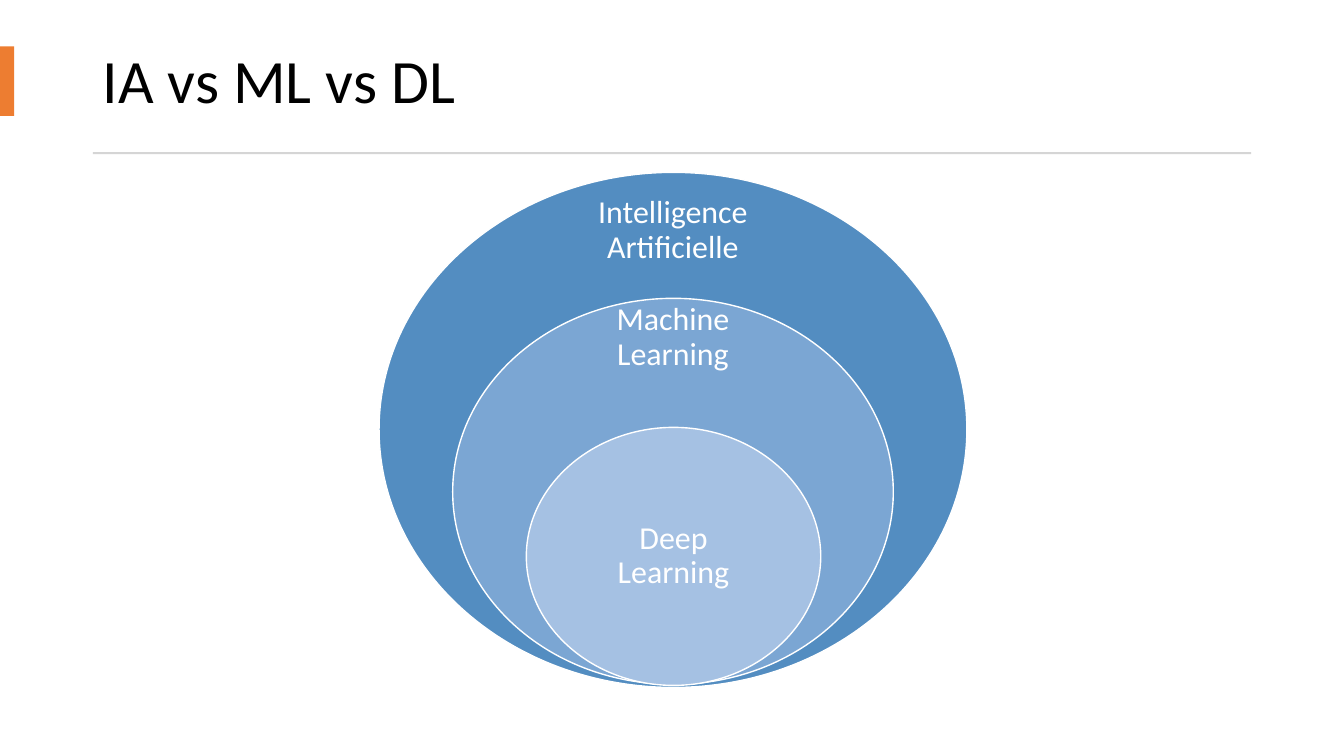
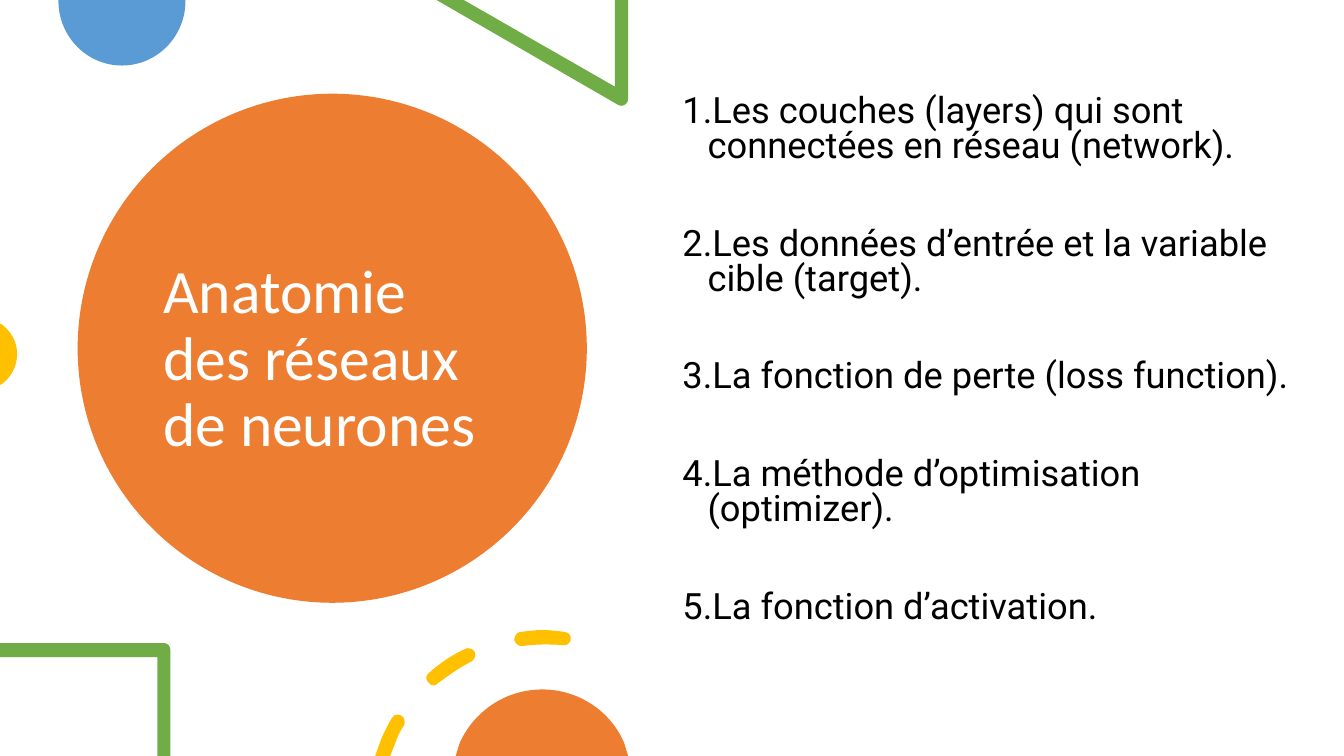
from dataclasses import dataclass

from lxml import etree
from pptx import Presentation
from pptx.dml.color import RGBColor
from pptx.enum.shapes import MSO_SHAPE
from pptx.enum.text import MSO_ANCHOR, PP_ALIGN
from pptx.oxml.ns import qn
from pptx.util import Emu, Pt

# Scale, page and shared formats
PX = 9144  # 100 px to the inch
PAGE_WIDTH, PAGE_HEIGHT = 1333, 750

RECTANGLE, OVAL = MSO_SHAPE.RECTANGLE, MSO_SHAPE.OVAL
TOP, MIDDLE = MSO_ANCHOR.TOP, MSO_ANCHOR.MIDDLE
LEFT, CENTER = PP_ALIGN.LEFT, PP_ALIGN.CENTER

BLACK = RGBColor(0x00, 0x00, 0x00)
WHITE = RGBColor(0xFF, 0xFF, 0xFF)
GREY = RGBColor(0xD5, 0xD5, 0xD5)
ORANGE = RGBColor(0xED, 0x7D, 0x31)
BLUE = RGBColor(0x5B, 0x9B, 0xD5)
GREEN = RGBColor(0x70, 0xAD, 0x47)
YELLOW = RGBColor(0xFF, 0xC0, 0x00)
RING_DARK = RGBColor(0x53, 0x8D, 0xC1)
RING_MEDIUM = RGBColor(0x7B, 0xA6, 0xD3)
RING_LIGHT = RGBColor(0xA5, 0xC1, 0xE3)

# A contour starts at its first point; then two numbers are a straight
# segment and six numbers a curve (two control points and an end)
Contour = list[tuple[int, ...]]


@dataclass(frozen=True)
class Box:
    left: int
    top: int
    width: int
    height: int

    def emu(self) -> list[Emu]:
        return [Emu(length * PX) for length in (self.left, self.top, self.width, self.height)]


@dataclass(frozen=True)
class Margins:
    left: int = 10
    top: int = 5
    right: int = 10
    bottom: int = 5


@dataclass(frozen=True)
class TextStyle:
    font: dict
    paragraph: dict
    anchor: int = MIDDLE
    numbered: bool = False


@dataclass(frozen=True)
class Ring:
    label: str
    box: Box
    label_middle: int
    color: RGBColor


@dataclass(frozen=True)
class Decoration:
    color: RGBColor
    contours: list[Contour]


def title_style(color: RGBColor) -> TextStyle:
    return TextStyle({"name": "Calibri", "size": Pt(44), "color": color},
                     {"alignment": LEFT, "line_spacing": 0.9})


LABEL_STYLE = TextStyle({"name": "Calibri", "size": Pt(22.8), "color": WHITE},
                        {"alignment": CENTER, "line_spacing": 0.9})
LIST_STYLE = TextStyle({"name": "Roboto", "size": Pt(25.9), "color": BLACK},
                       {"alignment": LEFT, "line_spacing": 0.8, "space_before": Pt(45)},
                       anchor=TOP, numbered=True)

# Content
LABEL_WIDTH = 170
RINGS = [
    Ring("Intelligence Artificielle", Box(376, 171, 583, 511), 229, RING_DARK),
    Ring("Machine Learning", Box(449, 296, 437, 383), 335, RING_MEDIUM),
    Ring("Deep Learning", Box(522, 424, 292, 256), 552, RING_LIGHT),
]
COMPONENTS = [
    "Les couches (layers) qui sont connectées en réseau (network).",
    "Les données d’entrée et la variable cible (target).",
    "La fonction de perte (loss function).",
    "La méthode d’optimisation (optimizer).",
    "La fonction d’activation.",
]
# Decorations cut by the page edges
DECORATIONS = [
    Decoration(BLUE, [[
        (184, 0), (58, 0), (58, 1), (58, 36, 86, 65, 121, 65), (156, 65, 184, 36, 184, 1)]]),
    Decoration(GREEN, [[
        (623, 0), (610, 0), (610, 86), (460, 0), (433, 0), (613, 104),
        (614, 105, 615, 105, 616, 105), (620, 105, 623, 102, 623, 98)]]),
    Decoration(YELLOW, [[
        (0, 321), (0, 382), (2, 381), (11, 374, 17, 364, 17, 351), (17, 339, 11, 329, 2, 322)]]),
    Decoration(GREEN, [[
        (163, 638), (0, 638), (0, 652), (156, 652), (156, 750), (169, 750), (169, 645),
        (169, 641, 166, 638, 163, 638)]]),
    # Three dashes of one circle
    Decoration(YELLOW, [
        [(395, 709), (393, 708, 390, 710, 389, 712), (385, 718, 382, 725, 379, 731),
         (372, 750), (387, 750), (392, 737), (394, 731, 397, 725, 401, 719),
         (402, 716, 401, 711, 398, 710), (397, 709, 396, 709, 395, 709)],
        [(464, 643), (463, 643, 462, 643, 461, 644), (448, 650, 436, 658, 425, 668),
         (422, 670, 422, 675, 425, 677), (426, 679, 428, 680, 430, 680),
         (432, 680, 433, 679, 434, 678), (445, 670, 456, 662, 468, 656),
         (471, 654, 472, 650, 471, 647), (469, 644, 467, 643, 464, 643)],
        [(538, 625), (531, 625, 524, 626, 516, 627), (513, 627, 510, 631, 510, 635),
         (511, 638, 514, 641, 517, 641), (532, 639, 545, 639, 558, 640),
         (562, 641, 565, 638, 566, 635), (567, 631, 564, 627, 560, 627),
         (553, 626, 545, 625, 538, 625)],
    ]),
    Decoration(ORANGE, [[
        (538, 684), (501, 684, 470, 706, 456, 737), (452, 750), (623, 750), (619, 737),
        (606, 706, 574, 684, 538, 684)]]),
]


# Drawing
def paint(shape, fill: RGBColor, line: RGBColor | None = None) -> None:
    shape.shadow.inherit = False
    shape.fill.solid()
    shape.fill.fore_color.rgb = fill
    if line is None:
        shape.line.fill.background()
    else:
        shape.line.color.rgb = line
        shape.line.width = Pt(1)


def add_preset(slide, kind: int, box: Box, fill: RGBColor) -> None:
    paint(slide.shapes.add_shape(kind, *box.emu()), fill)


def add_number(paragraph) -> None:
    properties = paragraph._p.get_or_add_pPr()
    indent = 25 * PX
    properties.set("marL", str(indent))
    properties.set("indent", str(-indent))
    etree.SubElement(properties, qn("a:buFont"), typeface="+mj-lt")
    etree.SubElement(properties, qn("a:buAutoNum"), type="arabicPeriod")


def write_text(shape, lines: list[str], style: TextStyle, margins: Margins) -> None:
    frame = shape.text_frame
    frame_format = {
        "word_wrap": True, "vertical_anchor": style.anchor,
        "margin_left": margins.left * PX, "margin_top": margins.top * PX,
        "margin_right": margins.right * PX, "margin_bottom": margins.bottom * PX,
    }
    for name, value in frame_format.items():
        setattr(frame, name, value)
    for index, line in enumerate(lines):
        paragraph = frame.add_paragraph() if index else frame.paragraphs[0]
        if style.numbered:
            add_number(paragraph)
        for name, value in style.paragraph.items():
            setattr(paragraph, name, value)
        if index == 0:
            paragraph.space_before = Pt(0)
        run = paragraph.add_run()
        run.text = line
        for name, value in style.font.items():
            if name == "color":
                run.font.color.rgb = value
            else:
                setattr(run.font, name, value)


def add_text(slide, box: Box, lines: list[str], style: TextStyle) -> None:
    write_text(slide.shapes.add_textbox(*box.emu()), lines, style, Margins())


def add_outline(slide, contours: list[Contour], fill: RGBColor, line: RGBColor | None = None):
    """Draw closed contours as one freeform with straight and curved segments."""
    builder = slide.shapes.build_freeform(*contours[0][0], scale=float(PX))
    for index, contour in enumerate(contours):
        if index:
            builder.move_to(*contour[0])
        points = [point for segment in contour[1:]
                  for point in zip(segment[::2], segment[1::2])]
        builder.add_line_segments(points, close=True)
    shape = builder.convert_to_shape()

    # Join the three points of each curve into one Bézier element
    line_elements = iter(list(shape._element.iter(qn("a:lnTo"))))
    for contour in contours:
        for segment in contour[1:]:
            element = next(line_elements)
            if len(segment) == 6:
                element.tag = qn("a:cubicBezTo")
                for _ in range(2):
                    extra = next(line_elements)
                    element.append(extra[0])
                    extra.getparent().remove(extra)
    paint(shape, fill, line)
    return shape


def ellipse(box: Box) -> Contour:
    radius_x, radius_y = box.width / 2, box.height / 2
    center_x, center_y = box.left + radius_x, box.top + radius_y
    bend = 0.55
    unit_curves = [
        (-1, 0), (-1, -bend, -bend, -1, 0, -1), (bend, -1, 1, -bend, 1, 0),
        (1, bend, bend, 1, 0, 1), (-bend, 1, -1, bend, -1, 0),
    ]
    return [tuple(round(center_y + value * radius_y if index % 2
                        else center_x + value * radius_x)
                  for index, value in enumerate(segment)) for segment in unit_curves]


# Slides
def build_comparison(slide) -> None:
    add_text(slide, Box(92, 28, 1149, 110), ["IA vs ML vs DL"], title_style(BLACK))
    add_preset(slide, RECTANGLE, Box(0, 46, 14, 69), ORANGE)
    add_preset(slide, RECTANGLE, Box(92, 151, 1149, 2), GREY)
    for ring in RINGS:
        box = ring.box
        shape = add_outline(slide, [ellipse(box)], ring.color, WHITE)
        side = (box.width - LABEL_WIDTH) // 2
        below = box.height - 2 * (ring.label_middle - box.top)
        write_text(shape, [ring.label], LABEL_STYLE, Margins(side, 0, side, below))


def build_anatomy(slide) -> None:
    add_preset(slide, OVAL, Box(77, 93, 505, 505), ORANGE)
    add_text(slide, Box(152, 135, 354, 445), ["Anatomie des réseaux de neurones"],
             title_style(WHITE))
    for decoration in DECORATIONS:
        add_outline(slide, decoration.contours, decoration.color)
    add_text(slide, Box(667, 90, 650, 535), COMPONENTS, LIST_STYLE)


def main() -> None:
    presentation = Presentation()
    presentation.slide_width = Emu(PAGE_WIDTH * PX)
    presentation.slide_height = Emu(PAGE_HEIGHT * PX)
    blank_layout = presentation.slide_layouts[6]
    for build in (build_comparison, build_anatomy):
        build(presentation.slides.add_slide(blank_layout))
    presentation.save("out.pptx")


if __name__ == "__main__":
    main()
